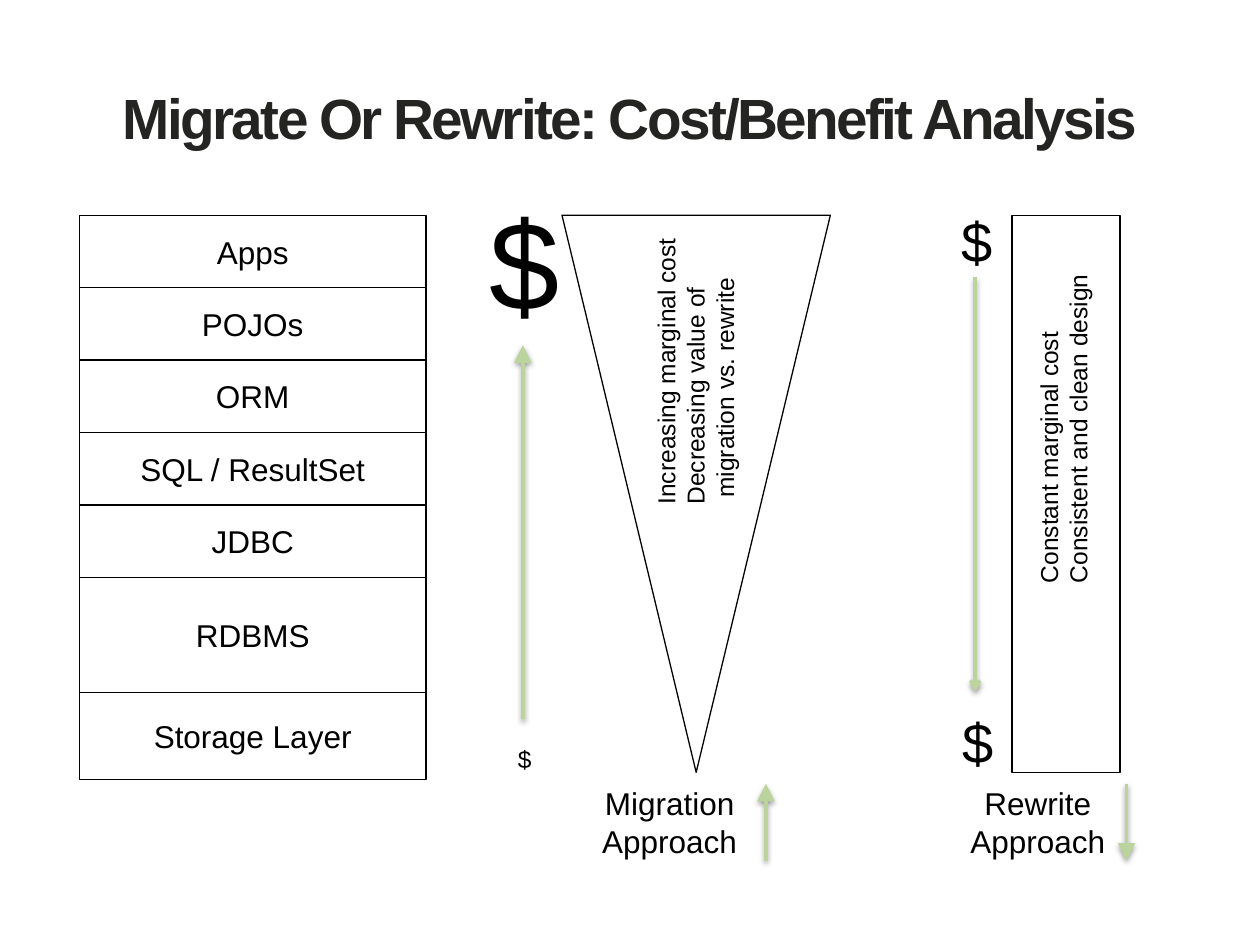
from dataclasses import dataclass

from lxml import etree
from pptx import Presentation
from pptx import util as u
from pptx.dml.color import RGBColor
from pptx.enum import shapes, text
from pptx.oxml import parse_xml
from pptx.oxml.ns import nsdecls, qn


@dataclass
class Theme:
    font: str = "Arial"
    title: RGBColor = RGBColor(0x24, 0x24, 0x23)
    ink: RGBColor = RGBColor(0, 0, 0)
    paper: RGBColor = RGBColor(255, 255, 255)
    arrow: RGBColor = RGBColor(0xBB, 0xD4, 0x9E)
    title_size: float = 32.4
    label_size: int = 18
    note_size: int = 14


theme = Theme()


def write(shape, lines, size, align=text.PP_ALIGN.LEFT, inset=0.0,
          anchor=text.MSO_ANCHOR.TOP, color=theme.ink, bold=False):
    """Fill a shape with one paragraph per line."""
    frame = shape.text_frame
    frame.word_wrap = True
    frame.auto_size = text.MSO_AUTO_SIZE.NONE
    frame.vertical_anchor = anchor
    frame.margin_left = frame.margin_right = u.Cm(inset)
    frame.margin_top = frame.margin_bottom = u.Cm(inset / 2)
    for index, line in enumerate(lines):
        paragraph = frame.add_paragraph() if index else frame.paragraphs[0]
        paragraph.alignment = align
        run = paragraph.add_run()
        run.text = line
        run.font.name = theme.font
        run.font.size = u.Pt(size)
        run.font.bold = bold
        run.font.color.rgb = color


def add_outline(kind, left, top, width, height, fill=None):
    """Add a thinly outlined shape, hollow unless a fill is given."""
    shape = slide.shapes.add_shape(kind, *map(u.Cm, (left, top, width, height)))
    shape.shadow.inherit = False
    if fill is None:
        shape.fill.background()
    else:
        shape.fill.solid()
        shape.fill.fore_color.rgb = fill
    shape.line.color.rgb = theme.ink
    shape.line.width = u.Pt(0.75)
    return shape


presentation = Presentation()
presentation.slide_width, presentation.slide_height = u.Cm(25.4), u.Cm(19.05)
slide = presentation.slides.add_slide(presentation.slide_layouts[5])

# Title
title = slide.shapes.title
title.left, title.top, title.width, title.height = map(u.Cm, (1.27, 0.76, 22.86, 3.18))
write(title, ["Migrate Or Rewrite: Cost/Benefit Analysis"], theme.title_size,
      text.PP_ALIGN.CENTER, 0.25, text.MSO_ANCHOR.MIDDLE, theme.title, True)
title.text_frame.paragraphs[0].runs[0].font._element.set("spc", "-150")

# Technology stack
top = chart_top = 4.34
layers = [("Apps", 1.46), ("POJOs", 1.46), ("ORM", 1.46), ("SQL / ResultSet", 1.46),
          ("JDBC", 1.46), ("RDBMS", 2.32), ("Storage Layer", 1.76)]
for name, height in layers:
    layer = add_outline(shapes.MSO_SHAPE.RECTANGLE, 1.6, top, 6.99, height)
    write(layer, [name], theme.label_size, text.PP_ALIGN.CENTER, 0.25,
          text.MSO_ANCHOR.MIDDLE)
    top += height

# Cost profiles: a wedge for migration, a bar for rewrite
wedge = add_outline(shapes.MSO_SHAPE.DOWN_ARROW, 11.33, chart_top, 5.41, 11.23, theme.paper)
wedge.adjustments[0], wedge.adjustments[1] = 1, 2.82
add_outline(shapes.MSO_SHAPE.RECTANGLE, 20.4, chart_top, 2.18, 11.23, theme.paper)

# Text boxes: lines, left, top, width, height, size, alignment, rotation
left_align, center = text.PP_ALIGN.LEFT, text.PP_ALIGN.CENTER
labels = [
    (["Increasing marginal cost", "Decreasing value of", " migration vs. rewrite"],
     11.3, 6.55, 5.44, 1.8, theme.note_size, left_align, 270),
    (["Constant marginal cost", "Consistent and clean design"],
     18.14, 7.87, 6.58, 1.19, theme.note_size, left_align, 270),
    (["Migration", "Approach"], 11.48, 15.8, 4.04, 1.55, theme.label_size, center, 0),
    (["Rewrite", "Approach"], 18.9, 15.8, 4.04, 1.55, theme.label_size, center, 0),
    (["$"], 9.86, 3.73, 0.89, 3.07, 72, left_align, 0),
    (["$"], 10.44, 14.99, 0.89, 0.61, theme.note_size, left_align, 0),
    (["$"], 19.38, 4.17, 0.89, 1.37, 32, left_align, 0),
    (["$"], 19.41, 14.27, 0.89, 1.37, 32, left_align, 0),
]
for lines, left, top, width, height, size, align, rotation in labels:
    box = slide.shapes.add_textbox(*map(u.Cm, (left, top, width, height)))
    box.rotation = rotation
    write(box, lines, size, align)

# Vertical trend arrows: x, start, end, head type, head size
arrows = [
    (10.54, 14.5, 6.96, "triangle", "lg"),
    (19.66, 5.59, 13.94, "arrow", "med"),
    (15.44, 17.35, 15.8, "triangle", "lg"),
    (22.71, 15.8, 17.35, "triangle", "lg"),
]
for x, start, end, head, head_size in arrows:
    arrow = slide.shapes.add_connector(shapes.MSO_CONNECTOR.STRAIGHT,
                                       *map(u.Cm, (x, start, x, end)))
    arrow.line.color.rgb = theme.arrow
    arrow.line.width = u.Pt(2)
    properties = arrow._element.spPr
    etree.SubElement(properties.find(qn("a:ln")), qn("a:tailEnd"),
                     type=head, w=head_size, len=head_size)
    properties.append(parse_xml(
        f'<a:effectLst {nsdecls("a")}><a:outerShdw blurRad="40000" dist="20000" '
        'dir="5400000" rotWithShape="0"><a:srgbClr val="000000">'
        '<a:alpha val="38000"/></a:srgbClr></a:outerShdw></a:effectLst>'))

presentation.save("out.pptx")
